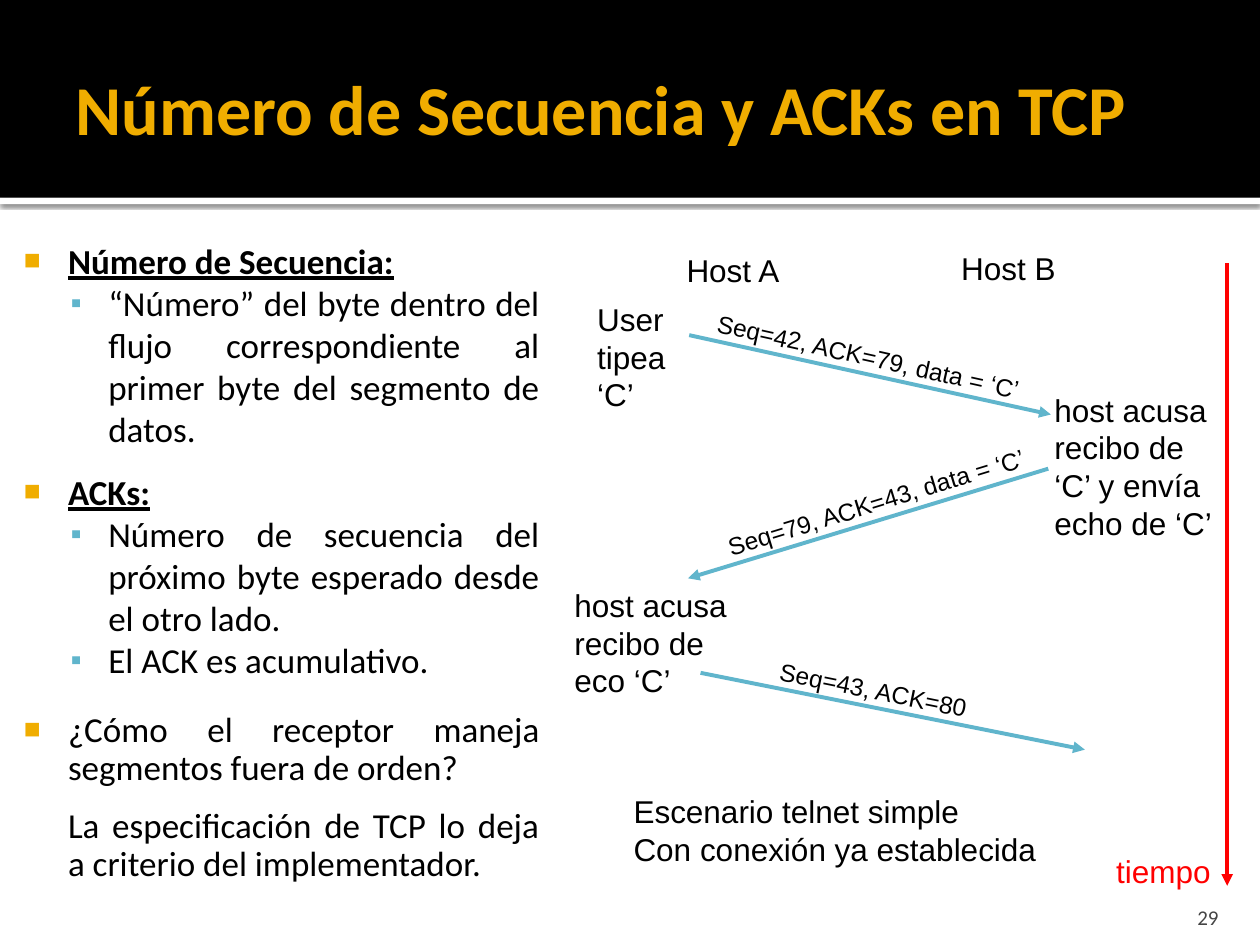
from lxml import etree
from pptx import Presentation
from pptx import util as u
from pptx.dml.color import RGBColor
from pptx.enum import shapes, text
from pptx.oxml.ns import qn

GOLD, BLUE, RED, BLACK, WHITE = "F0AD00", "60B5CC", "FF0000", "000000", "FFFFFF"
LEFT, RIGHT, JUST = text.PP_ALIGN.LEFT, text.PP_ALIGN.RIGHT, text.PP_ALIGN.JUSTIFY
TOP, MID, LOW = text.MSO_ANCHOR.TOP, text.MSO_ANCHOR.MIDDLE, text.MSO_ANCHOR.BOTTOM


def shade(value):
    """Turn a hex string into a colour."""
    return RGBColor.from_string(value)


def node(parent, tag, **attrs):
    """Append a drawing element to its parent."""
    return etree.SubElement(parent, qn(tag), {k: str(v) for k, v in attrs.items()})


def place(shape, x, y, w, h):
    """Set the box of a shape in inches."""
    shape.left, shape.top = u.Inches(x), u.Inches(y)
    shape.width, shape.height = u.Inches(w), u.Inches(h)


def frame(shape, pad, anchor=TOP, wrap=True):
    """Set margins, anchor and wrapping of a text frame."""
    body = shape.text_frame
    body.margin_left, body.margin_top, body.margin_right, body.margin_bottom = map(u.Inches, pad)
    body.vertical_anchor, body.word_wrap = anchor, wrap
    fit = text.MSO_AUTO_SIZE
    body.auto_size = fit.NONE if wrap else fit.SHAPE_TO_FIT_TEXT
    return body


def write(para, words, size=18, font="Arial", color=BLACK, bold=False, line=False, align=LEFT):
    """Write formatted words into a paragraph."""
    para.text, para.alignment = words, align
    for run in para.runs:
        face = run.font
        face.size, face.name, face.bold, face.underline = u.Pt(size), font, bold, line
        face.color.rgb = shade(color)


def label(slide, words, x, y, w, h, turn=0, **style):
    """Add a label that does not wrap."""
    box = slide.shapes.add_textbox(*map(u.Inches, (x, y, w, h)))
    body = frame(box, (0.1, 0.05, 0.1, 0.05), wrap=False)
    for i, part in enumerate(words.split("\n")):
        write(body.add_paragraph() if i else body.paragraphs[0], part, **style)
    box.rotation = turn


def arrow(slide, x1, y1, x2, y2, color=BLUE):
    """Draw an arrow between two points."""
    ends = map(u.Inches, (x1, y1, x2, y2))
    link = slide.shapes.add_connector(shapes.MSO_CONNECTOR.STRAIGHT, *ends)
    link.line.color.rgb, link.line.width = shade(color), u.Pt(2.25)
    node(link.line._get_or_add_ln(), "a:tailEnd", type="triangle")
    node(link._element.spPr, "a:effectLst")


def band(slide, x, y, w, h, color):
    """Add a plain filled rectangle."""
    rect = slide.shapes.add_shape(shapes.MSO_SHAPE.RECTANGLE, *map(u.Inches, (x, y, w, h)))
    rect.fill.solid()
    rect.fill.fore_color.rgb = shade(color)
    rect.line.fill.background()
    rect.shadow.inherit = False
    return rect


def header(slide, x, y, w, h):
    """Build the black title band with its white edge."""
    edge = band(slide, x, y + h, w, 0.05, WHITE)
    glow = node(edge._element.spPr.find(qn("a:effectLst")), "a:outerShdw",
                blurRad=u.Pt(2.5), dist=u.Pt(0.8), dir=5400000, algn="tl", rotWithShape=0)
    node(node(glow, "a:srgbClr", val=BLACK), "a:alpha", val=60000)
    band(slide, x, y, w, h, BLACK)
    title = slide.shapes.title
    slide.shapes._spTree.append(title._element)
    place(title, x + 0.5, y + 0.17, w - 1, h - 0.2)
    body = frame(title, (0.1, 0.05, 0.05, 0.05), MID)
    write(body.paragraphs[0], "Número de Secuencia y ACKs en TCP",
          size=40, font="Calibri", color=GOLD, bold=True)


def bullet(para, mark, color, size, left, hang):
    """Give a paragraph its indent and bullet."""
    props = para._p.get_or_add_pPr()
    props.set("marL", str(u.Inches(left)))
    props.set("indent", str(-u.Inches(hang)))
    if mark:
        node(node(props, "a:buClr"), "a:srgbClr", val=color)
        node(props, "a:buSzPct", val=size * 1000)
        node(props, "a:buFont", typeface="Arial")
        node(props, "a:buChar", char=mark)
    else:
        node(props, "a:buNone")


def notes(slide, x, y, w, h):
    """Build the bulleted text on the left."""
    head, sub = ("■", GOLD, 80, 0.48, 0.35), ("▪", BLUE, 90, 0.8, 0.3)
    plain = ("", GOLD, 80, 0.48, 0)
    rows = [
        ("Número de Secuencia:", head, True, 0, 1),
        ("“Número” del byte dentro del flujo correspondiente al primer byte "
         "del segmento de datos.", sub, False, 0, 1),
        ("ACKs:", head, True, 12, 1),
        ("Número de secuencia del próximo byte esperado desde el otro lado.", sub, False, 0, 1),
        ("El ACK es acumulativo.", sub, False, 0, 1),
        ("¿Cómo el receptor maneja segmentos fuera de orden?", head, False, 18, 0.9),
        ("La especificación de TCP lo deja a criterio del implementador.", plain, False, 12, 0.9),
    ]
    box = slide.shapes.add_textbox(*map(u.Inches, (x, y, w, h)))
    body = frame(box, (0.06, 0.1, 0.1, 0.05))
    for i, (words, mark, strong, gap, lead) in enumerate(rows):
        para = body.add_paragraph() if i else body.paragraphs[0]
        para.level = int(mark is sub)
        bullet(para, *mark)
        para.space_before, para.line_spacing = u.Pt(gap), lead
        write(para, words, size=20, font="Calibri", bold=strong, line=strong, align=JUST)


def diagram(slide, x, y, w, h):
    """Build the exchange of segments between the hosts."""
    for line in [(1.1, 3.41, 4.15, 4.02), (1.01, 0.73, 3.88, 1.36), (3.86, 1.79, 1, 2.66)]:
        arrow(slide, *(n + (y if i % 2 else x) for i, n in enumerate(line)))
    arrow(slide, x + w, y + 0.16, x + w, y + h, RED)
    for words, dx, dy, wide, high in [
        ("Host A", 0.89, 0.01, 0.95, 0.4),
        ("Host B", 3.07, 0, 0.96, 0.4),
        ("User\ntipea\n‘C’", 0.18, 0.4, 0.75, 1.01),
        ("host acusa\vrecibo de\veco ‘C’", 0, 2.67, 1.42, 1.01),
        ("host acusa \vrecibo de \v‘C’ y envía\vecho de ‘C’", 3.81, 1.12, 1.49, 1.31),
        ("Escenario telnet simple\vCon conexión ya establecida", 0.47, 4.31, 3.44, 0.7),
    ]:
        label(slide, words, x + dx, y + dy, wide, high)
    for words, dx, dy, wide, turn in [
        ("Seq=42, ACK=79, data = ‘C’", 1.11, 0.74, 2.7, 12.6),
        ("Seq=79, ACK=43, data = ‘C’", 1.17, 1.88, 2.7, 343),
        ("Seq=43, ACK=80", 1.62, 3.38, 1.75, 11.4),
    ]:
        label(slide, words, x + dx, y + dy, wide, 0.33, turn, size=14)
    label(slide, "tiempo", x + 4.3, y + 4.78, 0.99, 0.4, color=RED)


def footer(slide, x, y, w, h):
    """Add the page number."""
    box = slide.shapes.add_textbox(*map(u.Inches, (x, y, w, h)))
    body = frame(box, (0.1, 0.05, 0.1, 0), LOW)
    write(body.paragraphs[0], "29", size=12, font="Calibri", color="454545", align=RIGHT)


def main():
    """Build and save the slide."""
    deck = Presentation()
    deck.slide_width, deck.slide_height = u.Inches(10), u.Inches(7.5)
    slide = deck.slides.add_slide(deck.slide_layouts[5])
    header(slide, 0, 0, 10, 1.57)
    notes(slide, 0, 1.8, 4.38, 5.56)
    footer(slide, 8.97, 7.08, 0.8, 0.3)
    diagram(slide, 4.46, 1.93, 5.28, 5.1)
    deck.save("out.pptx")


if __name__ == "__main__":
    main()
